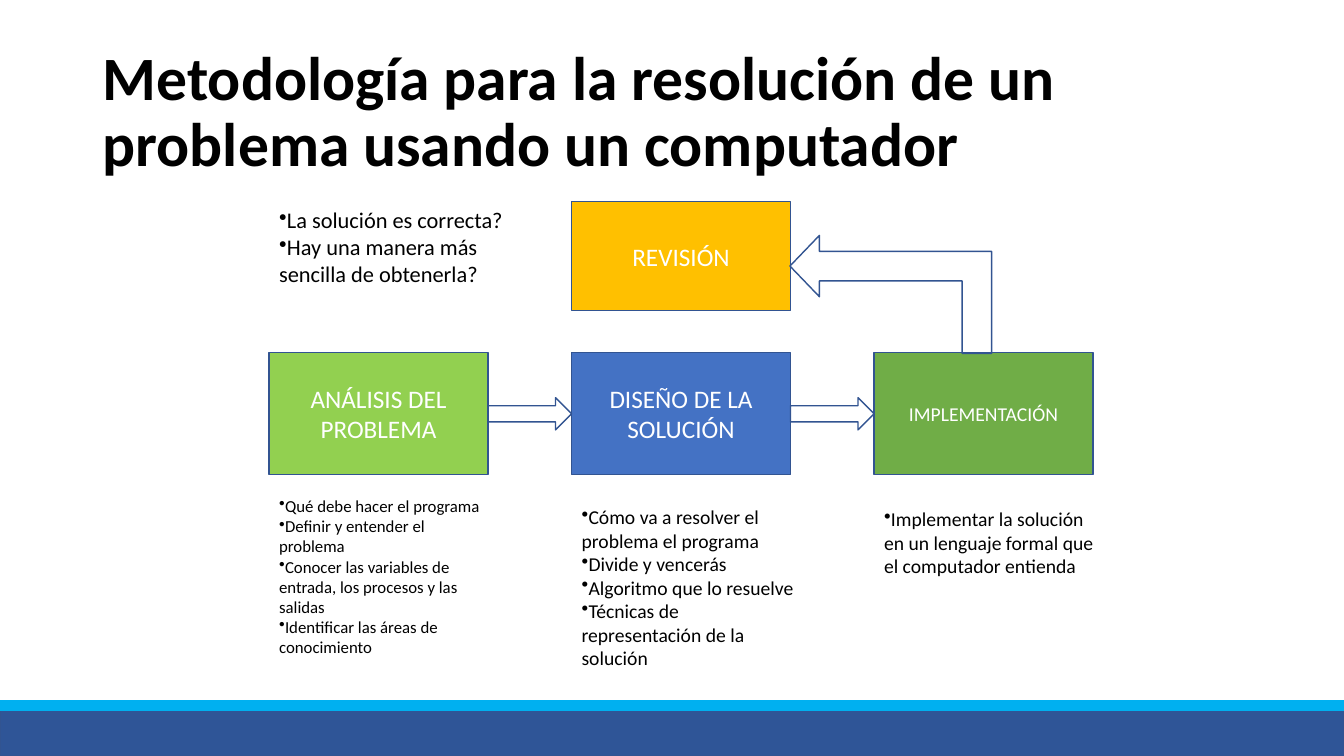
"""Build the slide on the method for solving a problem with a computer."""
from lxml import etree
from pptx import Presentation
from pptx.dml.color import RGBColor
from pptx.enum.shapes import MSO_SHAPE
from pptx.enum.text import MSO_ANCHOR, PP_ALIGN
from pptx.oxml.ns import qn
from pptx.util import Inches, Pt

RECTANGLE = MSO_SHAPE.RECTANGLE
RIGHT_ARROW = MSO_SHAPE.RIGHT_ARROW
BENT_ARROW = MSO_SHAPE.BENT_UP_ARROW
MIDDLE = MSO_ANCHOR.MIDDLE
CENTER, LEFT = PP_ALIGN.CENTER, PP_ALIGN.LEFT

THEME = {
    "font": "Calibri", "ink": "000000", "paper": "FFFFFF", "outline": "325491",
    "footer": "2F5597", "stripe": "00B0F0", "review": "FFC000",
    "analysis": "92D050", "design": "4472C4", "coding": "70AD47",
    "title": 44, "step": 18, "large": 16, "medium": 14, "small": 12,
}
WIDTH, HEIGHT = 13.33, 7.5
COLUMNS = [2.67 + 3 * column for column in range(3)]
STEP_WIDTH, STEP_HEIGHT, STEP_TOP = 2.17, 1.21, 3.5
ARROW_WIDTH, ARROW_HEIGHT = 0.83, 0.32
REVIEW_TOP = 2

deck = Presentation()
deck.slide_width, deck.slide_height = Inches(WIDTH), Inches(HEIGHT)
page = deck.slides.add_slide(deck.slide_layouts[6])


def add_block(kind, place, fill=None, line="outline"):
    """Add a preset shape with a thin outline and an optional fill."""
    block = page.shapes.add_shape(kind, *map(Inches, place))
    block.shadow.inherit = False
    if fill:
        block.fill.solid()
        block.fill.fore_color.rgb = RGBColor.from_string(THEME[fill])
    else:
        block.fill.background()
    block.line.color.rgb = RGBColor.from_string(THEME[line])
    block.line.width = Pt(1)
    return block


def write(box, lines, size, color="ink", align=LEFT, bold=False, bullets=False):
    """Fill a shape with one formatted paragraph per line."""
    frame = box.text_frame
    frame.word_wrap = True
    frame.text = "\n".join(lines)
    for para in frame.paragraphs:
        para.alignment = align
        if bullets:
            bullet = etree.SubElement(para._p.get_or_add_pPr(), qn("a:buChar"))
            bullet.set("char", "•")
        for span in para.runs:
            span.font.name = THEME["font"]
            span.font.size = Pt(THEME[size])
            span.font.bold = bold
            span.font.color.rgb = RGBColor.from_string(THEME[color])
    return frame


add_block(RECTANGLE, (0, 7.03, WIDTH, 0.47), "footer")
add_block(RECTANGLE, (0, 6.95, WIDTH, 0.1), "stripe", "stripe")

title = page.shapes.add_textbox(*map(Inches, (0.92, 0.4, 11.5, 1.45)))
title_frame = write(
    title, ["Metodología para la resolución de un problema usando un computador"],
    "title", bold=True)
title_frame.vertical_anchor = MIDDLE
title_frame.paragraphs[0].line_spacing = 0.9

steps = [
    ("ANÁLISIS DEL PROBLEMA", COLUMNS[0], STEP_TOP, STEP_HEIGHT, "analysis", "step"),
    ("DISEÑO DE LA SOLUCIÓN", COLUMNS[1], STEP_TOP, STEP_HEIGHT, "design", "step"),
    ("IMPLEMENTACIÓN", COLUMNS[2], STEP_TOP, STEP_HEIGHT, "coding", "medium"),
    ("REVISIÓN", COLUMNS[1], REVIEW_TOP, 1.08, "review", "step"),
]
for label, left, top, height, fill, size in steps:
    step = add_block(RECTANGLE, (left, top, STEP_WIDTH, height), fill)
    write(step, [label], size, "paper", CENTER).vertical_anchor = MIDDLE

arrow_top = STEP_TOP + (STEP_HEIGHT - ARROW_HEIGHT) / 2
for left in COLUMNS[:2]:
    add_block(RIGHT_ARROW, (left + STEP_WIDTH, arrow_top, ARROW_WIDTH, ARROW_HEIGHT))

return_arrow = add_block(BENT_ARROW, (8.25, 1.92, 1.17, 2))
return_arrow.rotation = 270
return_arrow.adjustments[1] = 0.26

notes = [
    (COLUMNS[0], 4.87, 2.33, 1.92, "small", [
        "Qué debe hacer el programa",
        "Definir y entender el problema",
        "Conocer las variables de entrada, los procesos y las salidas",
        "Identificar las áreas de conocimiento"]),
    (COLUMNS[1], 4.96, 2.33, 1.75, "medium", [
        "Cómo va a resolver el problema el programa",
        "Divide y vencerás",
        "Algoritmo que lo resuelve",
        "Técnicas de representación de la solución"]),
    (COLUMNS[2], 4.98, 2.33, 1.04, "medium", [
        "Implementar la solución en un lenguaje formal que el computador entienda"]),
    (COLUMNS[0], REVIEW_TOP, 2.83, 0.91, "large", [
        "La solución es correcta?",
        "Hay una manera más sencilla de obtenerla?"]),
]
for left, top, width, height, size, lines in notes:
    note = page.shapes.add_textbox(*map(Inches, (left, top, width, height)))
    write(note, lines, size, bullets=True)

deck.save("out.pptx")
